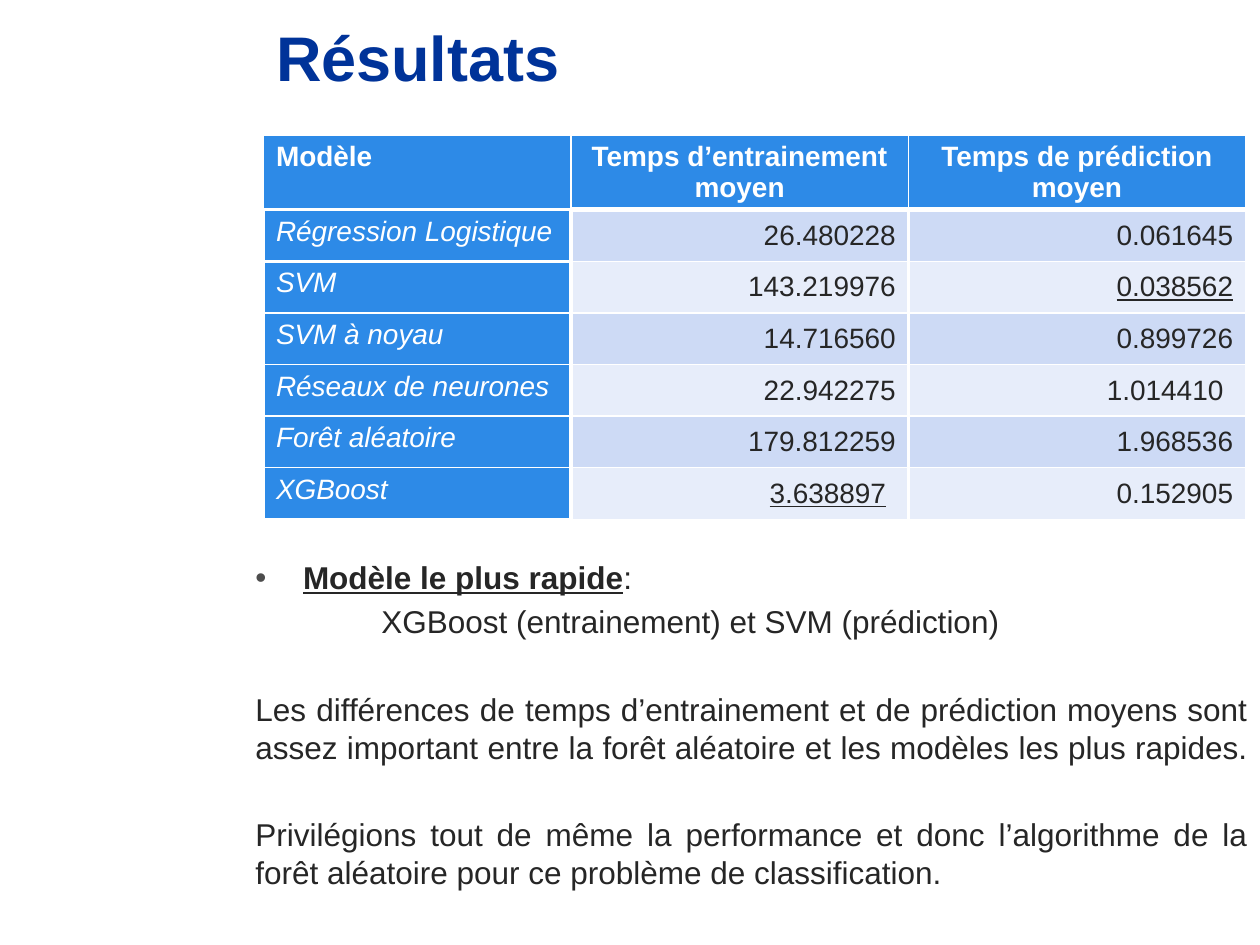
import pptx
import pptx.dml.color
import pptx.enum.text
import pptx.oxml
import pptx.oxml.ns
import pptx.util

Cm = pptx.util.Cm
Pt = pptx.util.Pt
Align = pptx.enum.text.PP_ALIGN
Anchor = pptx.enum.text.MSO_ANCHOR

BLUE, WHITE, INK, BULLET = "2D8AE7", "FFFFFF", "262626", "4D4D4D"
BANDS = ("CDDAF5", "E7EDFA")
HEADINGS = ("Modèle", "Temps d’entrainement moyen", "Temps de prédiction moyen")
MODELS = (
    ("Régression Logistique", "26.480228", "0.061645"),
    ("SVM", "143.219976", "0.038562"),
    ("SVM à noyau", "14.716560", "0.899726"),
    ("Réseaux de neurones", "22.942275", "1.014410"),
    ("Forêt aléatoire", "179.812259", "1.968536"),
    ("XGBoost", "3.638897", "0.152905"),
)
FASTEST = ("0.038562", "3.638897")
INSET_VALUES = ("1.014410", "3.638897")


def color(hex_code):
    """Return the RGB colour of a hex string."""
    return pptx.dml.color.RGBColor.from_string(hex_code)


def apply(target, values):
    """Set each attribute of the target from a dict."""
    for name, value in values.items():
        setattr(target, name, value)


def add_run(paragraph, text, hex_code, **font):
    """Add a formatted Arial run to a paragraph."""
    run = paragraph.add_run()
    run.text = text
    apply(run.font, {"name": "Arial", **font})
    run.font.color.rgb = color(hex_code)


def add_title(slide, left, top, width, height):
    """Place the slide title in its placeholder."""
    title = slide.shapes.title
    apply(title, {"left": left, "top": top, "width": width, "height": height})
    apply(title.text_frame, {"vertical_anchor": Anchor.MIDDLE, "word_wrap": True})
    paragraph = title.text_frame.paragraphs[0]
    paragraph.alignment = Align.LEFT
    add_run(paragraph, "Résultats", "003399", size=Pt(36), bold=True)


def set_borders(cell, widths):
    """Draw white cell borders from a dict of side to width in points."""
    properties = cell._tc.get_or_add_tcPr()
    for side in "LRTB":
        properties.append(pptx.oxml.parse_xml(
            f'<a:ln{side} {pptx.oxml.ns.nsdecls("a")} w="{Pt(widths[side])}">'
            f'<a:solidFill><a:srgbClr val="{WHITE}"/></a:solidFill></a:ln{side}>'))


def fill_cell(cell, text, row, column):
    """Write and format one cell according to its row and column."""
    header, label = row == 0, column == 0
    thin, medium, thick = 1, 2.25, 3
    set_borders(cell, {
        "L": thin if header else medium,
        "R": thin if header or column == 2 else medium,
        "T": (medium if label else thick) if row == 1 else
             medium if label and row == 2 else thin,
        "B": (medium if label else thick) if header else
             medium if label and row in (1, len(MODELS)) else thin,
    })
    cell.fill.solid()
    cell.fill.fore_color.rgb = color(BLUE if header or label else BANDS[(row - 1) % 2])
    value = not header and not label
    cell.vertical_anchor = Anchor.MIDDLE if value else Anchor.TOP
    if text in INSET_VALUES:
        cell.margin_right = Cm(0.45)
    paragraph = cell.text_frame.paragraphs[0]
    paragraph.alignment = Align.RIGHT if value else Align.LEFT if label else Align.CENTER
    add_run(paragraph, text, INK if value else WHITE, size=Pt(16), bold=header,
            italic=label and not header, underline=text in FASTEST)


def add_timing_table(slide, left, top, width, height):
    """Place the table of mean times per model."""
    rows = (HEADINGS, *MODELS)
    table = slide.shapes.add_table(len(rows), len(HEADINGS), left, top, width, height).table
    label_width, header_height = Cm(6.2), Cm(1.5)
    for index, column in enumerate(table.columns):
        column.width = (width - label_width) // 2 if index else label_width
    for index, row in enumerate(table.rows):
        row.height = (height - header_height) // len(MODELS) if index else header_height
    for row, texts in enumerate(rows):
        for column, text in enumerate(texts):
            fill_cell(table.cell(row, column), text, row, column)


def add_bullet(paragraph, indent):
    """Give a paragraph a round bullet with a hanging indent."""
    properties = paragraph._p.get_or_add_pPr()
    properties.set("marL", str(indent))
    properties.set("indent", str(-indent))
    namespace = pptx.oxml.ns.nsdecls("a")
    for element in (f'<a:buClr {namespace}><a:srgbClr val="{BULLET}"/></a:buClr>',
                    f'<a:buFont {namespace} typeface="Arial"/>',
                    f'<a:buChar {namespace} char="•"/>'):
        properties.append(pptx.oxml.parse_xml(element))


def add_conclusions(slide, left, top, width, height):
    """Place the conclusions below the table."""
    frame = slide.shapes.add_textbox(left, top, width, height).text_frame
    frame.word_wrap = True
    near, far = Pt(3.6), Pt(28.5)
    plain, strong = {"size": Pt(18)}, {"size": Pt(18), "bold": True, "underline": True}
    paragraphs = (
        (near, (("Modèle le plus rapide", strong), (": ", plain))),
        (near, (("XGBoost (entrainement) et SVM (prédiction)", plain),)),
        (far, (("Les différences de temps d’entrainement et de prédiction moyens sont assez "
                "important entre la forêt aléatoire et les modèles les plus rapides. ", plain),)),
        (far, (("Privilégions tout de même la performance et donc l’algorithme de la forêt "
                "aléatoire pour ce problème de classification.", plain),)),
    )
    for index, (space, runs) in enumerate(paragraphs):
        paragraph = frame.add_paragraph() if index else frame.paragraphs[0]
        apply(paragraph, {"alignment": Align.JUSTIFY, "space_before": space})
        for text, font in runs:
            add_run(paragraph, text, INK, **font)
    add_bullet(frame.paragraphs[0], Cm(0.96))
    frame.paragraphs[1]._p.get_or_add_pPr().set("marL", str(Cm(2.54)))


def main():
    """Build and save the results slide."""
    presentation = pptx.Presentation()
    apply(presentation, {"slide_width": Cm(25.4), "slide_height": Cm(19.05)})
    slide = presentation.slides.add_slide(presentation.slide_layouts[5])
    add_title(slide, Cm(5.31), Cm(0.13), Cm(18.21), Cm(2))
    add_timing_table(slide, Cm(5.31), Cm(2.72), Cm(19.8), Cm(7.74))
    add_conclusions(slide, Cm(4.9), Cm(11.13), Cm(20.5), Cm(7.59))
    presentation.save("out.pptx")


if __name__ == "__main__":
    main()
